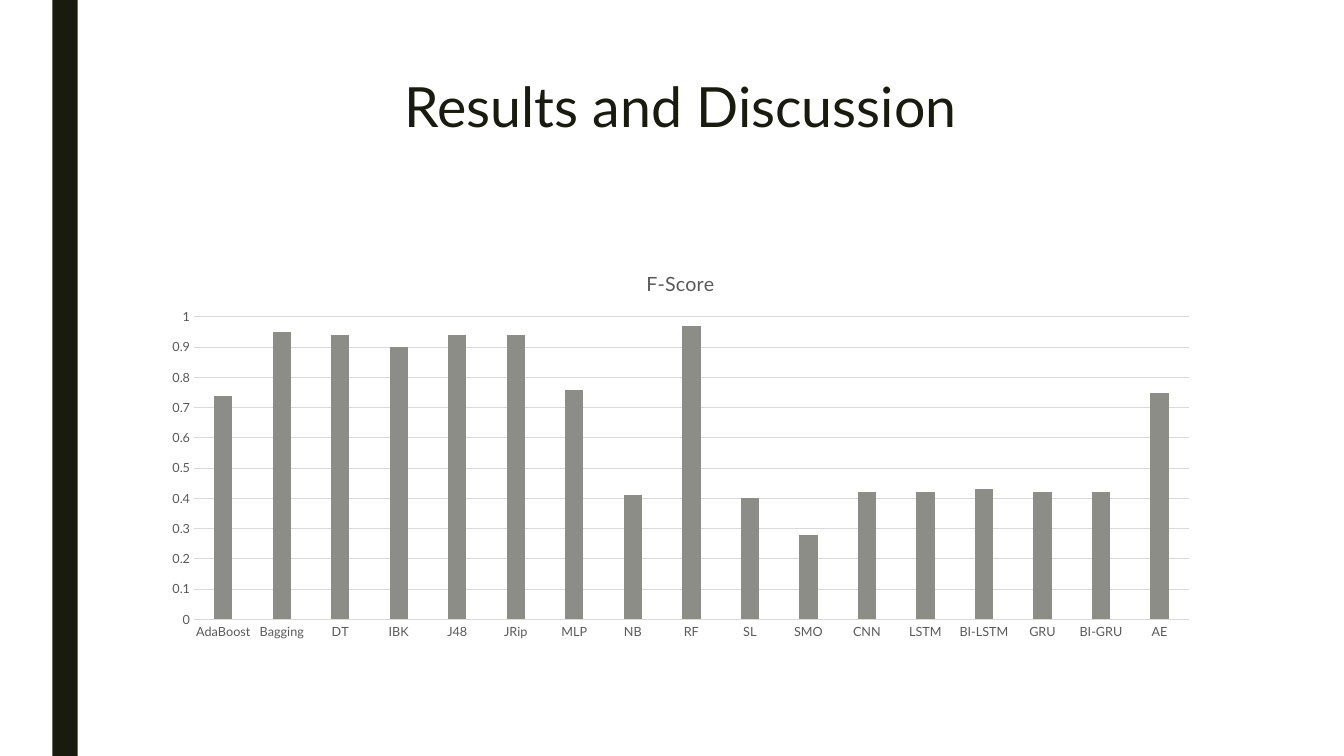
from dataclasses import dataclass

from pptx import Presentation
from pptx.chart.data import CategoryChartData
from pptx.dml.color import RGBColor
from pptx.enum.chart import XL_CHART_TYPE, XL_TICK_MARK
from pptx.enum.shapes import MSO_SHAPE
from pptx.enum.text import MSO_ANCHOR, PP_ALIGN
from pptx.util import Inches, Pt


@dataclass(frozen=True)
class Theme:
    font: str = "Lato"
    dark: str = "191B0E"
    label: str = "595959"
    grid: str = "D9D9D9"
    column: str = "8C8D86"
    title_size: float = 39.6
    chart_size: float = 10
    chart_title_size: float = 14
    axis_size: float = 9
    line_width: float = 0.75


THEME = Theme()

F_SCORES = {
    "AdaBoost": 0.74, "Bagging": 0.95, "DT": 0.94, "IBK": 0.9,
    "J48": 0.94, "JRip": 0.94, "MLP": 0.76, "NB": 0.41, "RF": 0.97,
    "SL": 0.4, "SMO": 0.28, "CNN": 0.42, "LSTM": 0.42, "BI-LSTM": 0.43,
    "GRU": 0.42, "BI-GRU": 0.42, "AE": 0.75,
}


def inches(*lengths):
    return [Inches(length) for length in lengths]


def style_font(font, size, color):
    font.name = THEME.font
    font.size = Pt(size)
    font.bold = False
    font.color.rgb = RGBColor.from_string(color)


def style_line(line):
    line.color.rgb = RGBColor.from_string(THEME.grid)
    line.width = Pt(THEME.line_width)


def add_side_bar(page):
    bar = page.shapes.add_shape(MSO_SHAPE.RECTANGLE, *inches(0.52, 0, 0.25, 7.5))
    bar.shadow.inherit = False
    bar.fill.solid()
    bar.fill.fore_color.rgb = RGBColor.from_string(THEME.dark)
    bar.line.fill.background()


def add_title(page, text):
    box = page.shapes.add_textbox(*inches(1.5, 0.75, 10.5, 1.62))
    frame = box.text_frame
    frame.word_wrap = True
    frame.vertical_anchor = MSO_ANCHOR.TOP
    frame.text = text
    para = frame.paragraphs[0]
    para.alignment = PP_ALIGN.CENTER
    para.line_spacing = 0.89
    style_font(para.runs[0].font, THEME.title_size, THEME.dark)


def style_axis(axis):
    axis.major_tick_mark = XL_TICK_MARK.NONE
    axis.minor_tick_mark = XL_TICK_MARK.NONE
    style_font(axis.tick_labels.font, THEME.axis_size, THEME.label)


def add_column_chart(page, name, scores):
    chart_data = CategoryChartData(number_format="General")
    chart_data.categories = list(scores)
    chart_data.add_series(name, list(scores.values()))
    chart = page.shapes.add_chart(
        XL_CHART_TYPE.COLUMN_CLUSTERED, *inches(1.5, 2.5, 10.5, 3.92), chart_data
    ).chart
    style_font(chart.font, THEME.chart_size, "000000")
    chart.has_legend = False

    chart.has_title = True
    chart.chart_title.include_in_layout = False
    title = chart.chart_title.text_frame
    title.text = name
    style_font(title.paragraphs[0].runs[0].font, THEME.chart_title_size, THEME.label)

    style_axis(chart.category_axis)
    style_line(chart.category_axis.format.line)
    value_axis = chart.value_axis
    style_axis(value_axis)
    value_axis.minimum_scale = 0
    value_axis.maximum_scale = 1
    value_axis.major_unit = 0.1
    value_axis.format.line.fill.background()
    value_axis.has_major_gridlines = True
    style_line(value_axis.major_gridlines.format.line)

    plot = chart.plots[0]
    plot.vary_by_categories = False
    plot.gap_width = 219
    plot.overlap = -27
    fill = plot.series[0].format.fill
    fill.solid()
    fill.fore_color.rgb = RGBColor.from_string(THEME.column)


def main():
    deck = Presentation()
    deck.slide_width, deck.slide_height = inches(13.33, 7.5)
    page = deck.slides.add_slide(deck.slide_layouts[6])
    add_side_bar(page)
    add_title(page, "Results and Discussion")
    add_column_chart(page, "F-Score", F_SCORES)
    deck.save("out.pptx")


if __name__ == "__main__":
    main()
